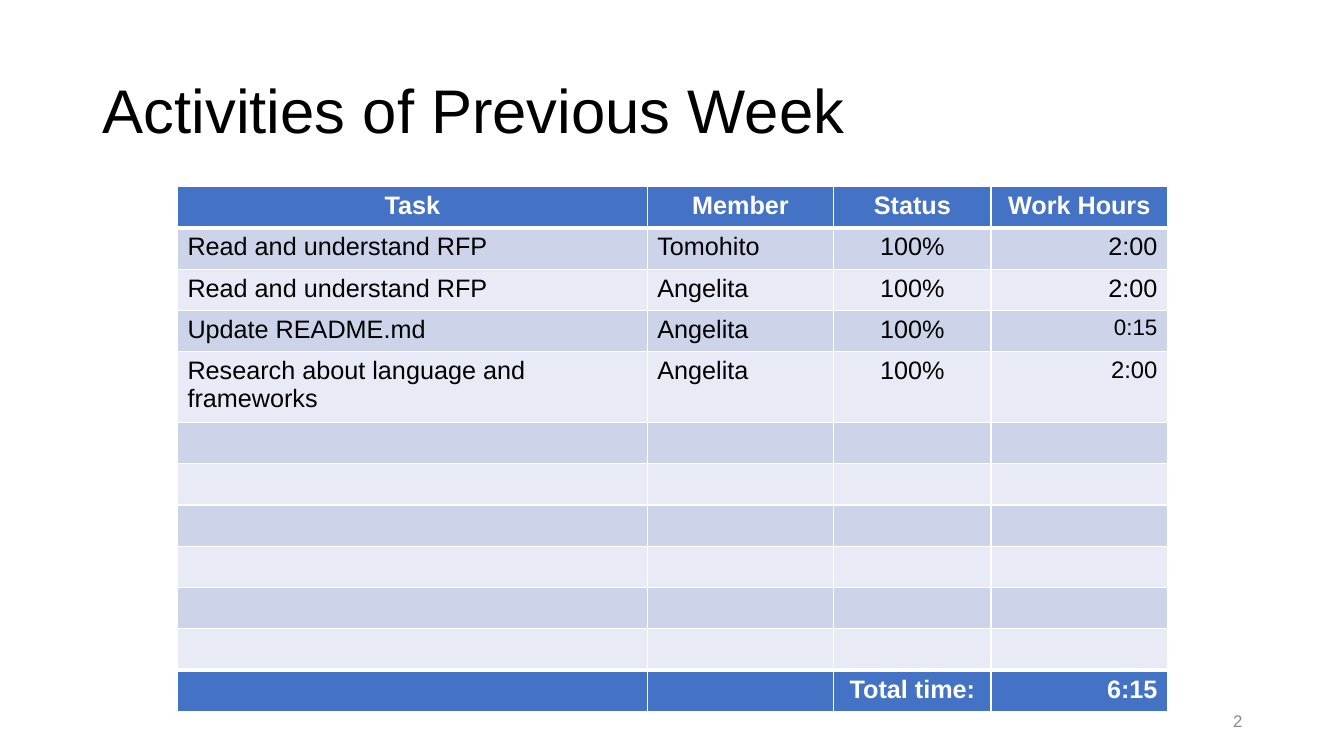
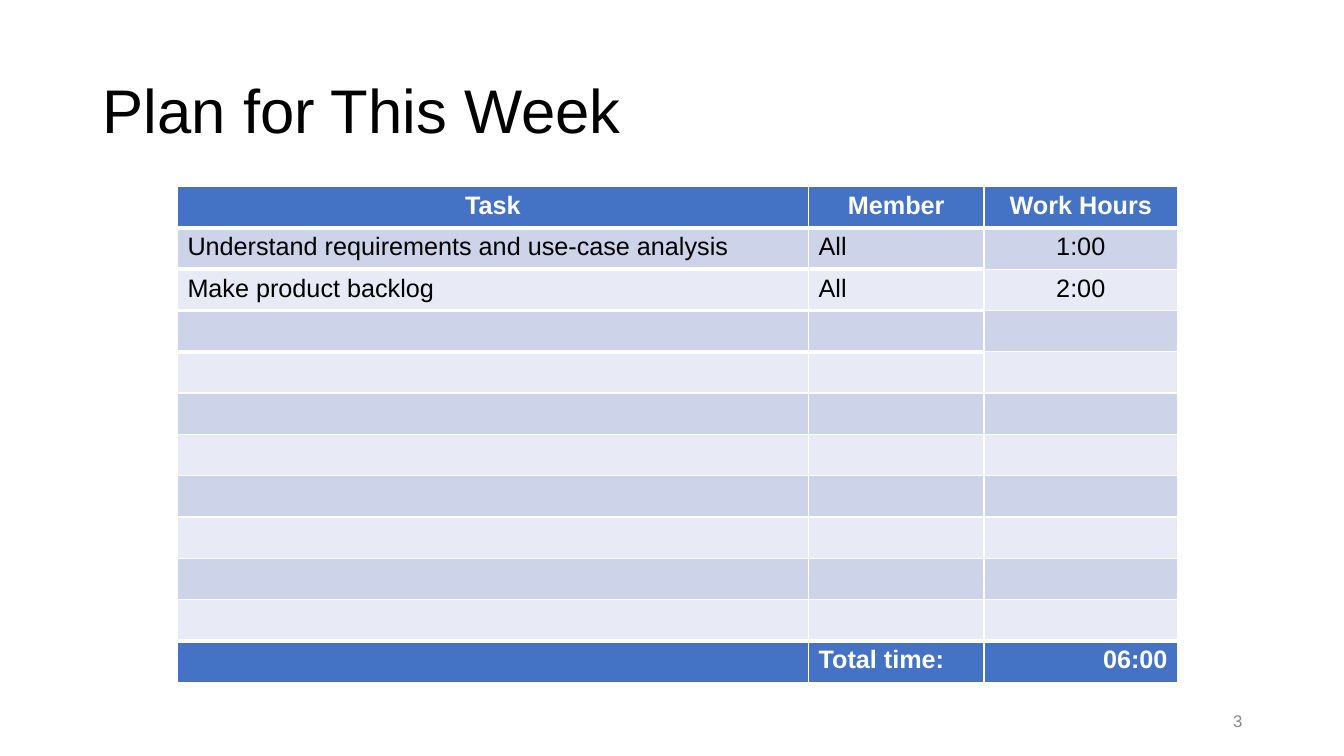
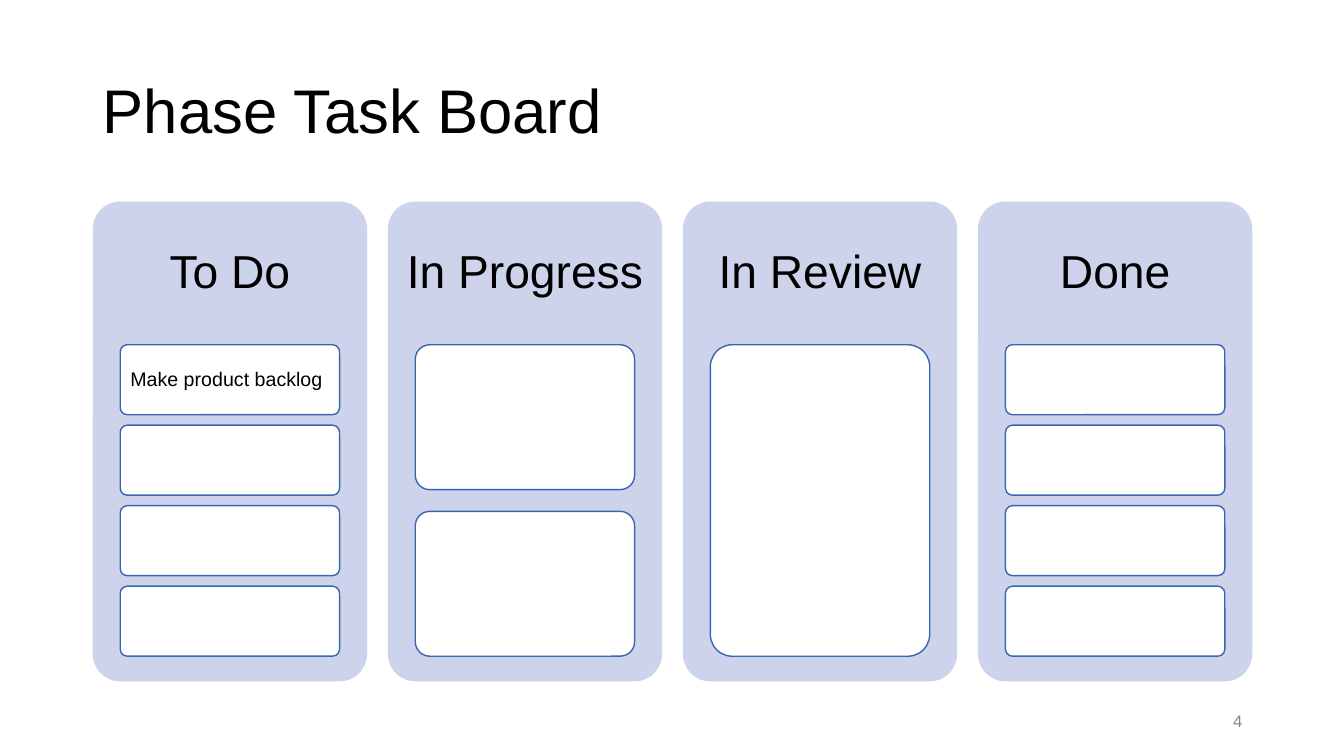
from lxml import etree
from pptx import Presentation
from pptx.dml.color import RGBColor
from pptx.enum.shapes import MSO_SHAPE
from pptx.enum.text import MSO_ANCHOR, PP_ALIGN
from pptx.oxml.ns import qn
from pptx.util import Inches, Pt

BLACK = RGBColor(0x00, 0x00, 0x00)
WHITE = RGBColor(0xFF, 0xFF, 0xFF)
GRAY = RGBColor(0x88, 0x88, 0x88)
BLUE = RGBColor(0x44, 0x72, 0xC4)
CARD_LINE = RGBColor(0x3A, 0x66, 0xB1)
COLUMN_FILL = RGBColor(0xCC, 0xD3, 0xEA)
BANDS = (RGBColor(0xCD, 0xD4, 0xEA), RGBColor(0xE8, 0xEB, 0xF5))
LEFT, CENTER, RIGHT = PP_ALIGN.LEFT, PP_ALIGN.CENTER, PP_ALIGN.RIGHT

MARGIN = 0.92
CONTENT_WIDTH = 11.5
TABLE_ROWS = 12
ROW_HEIGHT = 0.41
THIN, THICK = 1, 3


class Deck:
    """Holds the shared style and the slide being built."""

    font_name = "Arial"
    title_only = 5

    def __init__(self):
        self.presentation = Presentation()
        self.presentation.slide_width = Inches(13.33)
        self.presentation.slide_height = Inches(7.5)
        self.slide = None

    def set_text(self, frame, text, size, color=BLACK, align=LEFT, bold=False, spacing=None):
        frame.word_wrap = True
        paragraph = frame.paragraphs[0]
        paragraph.text = text
        paragraph.alignment = align
        paragraph.line_spacing = spacing
        font = paragraph.font
        font.name, font.size, font.bold = self.font_name, Pt(size), bold
        font.color.rgb = color

    def add_slide(self, title, number):
        layout = self.presentation.slide_layouts[self.title_only]
        self.slide = self.presentation.slides.add_slide(layout)
        shape = self.slide.shapes.title
        shape.left, shape.top = Inches(MARGIN), Inches(0.4)
        shape.width, shape.height = Inches(CONTENT_WIDTH), Inches(1.45)
        shape.text_frame.vertical_anchor = MSO_ANCHOR.MIDDLE
        self.set_text(shape.text_frame, title, 44, spacing=0.9)
        self.add_text(str(number), 9.42, 6.95, 3, 0.4, 12, GRAY, RIGHT)

    def add_text(self, text, left, top, width, height, size, color=BLACK,
                 align=LEFT, spacing=None):
        box = self.slide.shapes.add_textbox(
            Inches(left), Inches(top), Inches(width), Inches(height))
        box.text_frame.vertical_anchor = MSO_ANCHOR.MIDDLE
        self.set_text(box.text_frame, text, size, color, align, spacing=spacing)

    def add_panel(self, left, top, width, height, fill, line=None):
        shape = self.slide.shapes.add_shape(
            MSO_SHAPE.ROUNDED_RECTANGLE,
            Inches(left), Inches(top), Inches(width), Inches(height))
        shape.adjustments[0] = 0.1
        shape.shadow.inherit = False
        shape.fill.solid()
        shape.fill.fore_color.rgb = fill
        if line is None:
            shape.line.fill.background()
        else:
            shape.line.color.rgb = line
            shape.line.width = Pt(1)
        return shape

    def set_borders(self, cell, top, bottom):
        properties = cell._tc.get_or_add_tcPr()
        edges = (("a:lnL", THIN), ("a:lnR", THIN), ("a:lnT", top), ("a:lnB", bottom))
        for index, (tag, weight) in enumerate(edges):
            border = etree.Element(qn(tag), w=str(Pt(weight)))
            fill = etree.SubElement(border, qn("a:solidFill"))
            etree.SubElement(fill, qn("a:srgbClr"), val=str(WHITE))
            properties.insert(index, border)

    def add_table(self, header, tasks, total, widths, aligns, sizes=None, thick_edges=()):
        """Header, task rows padded to full height, and a total row.

        sizes maps (row, column) to a font size; thick_edges lists the
        (row, column) cells with a thick lower edge.
        """
        columns = len(widths)
        blanks = [[""] * columns] * (TABLE_ROWS - len(tasks) - 2)
        rows = [header, *tasks, *blanks, total]
        last = TABLE_ROWS - 1
        frame = self.slide.shapes.add_table(
            TABLE_ROWS, columns, Inches(1.76), Inches(1.85),
            Inches(sum(widths)), Inches(ROW_HEIGHT * TABLE_ROWS))
        table = frame.table
        table.first_row = table.horz_banding = False
        for column, width in zip(table.columns, widths):
            column.width = Inches(width)

        def edge_below(row, column):
            thick = row in (0, last - 1) or (row, column) in thick_edges
            return THICK if thick else THIN

        for row, texts in enumerate(rows):
            table.rows[row].height = Inches(ROW_HEIGHT)
            strong = row in (0, last)
            for column, text in enumerate(texts):
                cell = table.cell(row, column)
                cell.fill.solid()
                cell.fill.fore_color.rgb = BLUE if strong else BANDS[(row - 1) % 2]
                align = CENTER if row == 0 else aligns[column]
                if row == last and column == columns - 1:
                    align = RIGHT
                self.set_text(cell.text_frame, text, (sizes or {}).get((row, column), 18),
                              WHITE if strong else BLACK, align, strong)
                self.set_borders(cell, edge_below(row - 1, column), edge_below(row, column))

    def add_board_column(self, left, width, heading, cards):
        """A panel with a heading and equal cards that fill the rest."""
        top, cards_top, cards_height, gap_ratio = 2, 3.42, 3.09, 0.15
        self.add_panel(left, top, width, 4.76, COLUMN_FILL)
        self.add_text(heading, left, top, width, 1.43, 33, align=CENTER, spacing=0.9)
        count = len(cards)
        height = cards_height / (count + gap_ratio * (count - 1))
        for index, text in enumerate(cards):
            card = self.add_panel(
                left + width * 0.1, cards_top + index * height * (1 + gap_ratio),
                width * 0.8, height, WHITE, CARD_LINE)
            if text:
                frame = card.text_frame
                frame.margin_left, frame.margin_right = Inches(0.08), Inches(0.04)
                frame.vertical_anchor = MSO_ANCHOR.MIDDLE
                self.set_text(frame, text, 14, spacing=0.9)


def main():
    deck = Deck()

    # Finished activities
    deck.add_slide("Activities of Previous Week", 2)
    deck.add_table(
        header=["Task", "Member", "Status", "Work Hours"],
        tasks=[
            ["Read and understand RFP", "Tomohito", "100%", "2:00"],
            ["Read and understand RFP", "Angelita", "100%", "2:00"],
            ["Update README.md", "Angelita", "100%", "0:15"],
            ["Research about language and frameworks", "Angelita", "100%", "2:00"],
        ],
        total=["", "", "Total time:", "6:15"],
        widths=[4.66, 1.85, 1.56, 1.75],
        aligns=[LEFT, LEFT, CENTER, RIGHT],
        sizes={(3, 3): 16, (4, 3): 17})

    # Planned activities
    deck.add_slide("Plan for This Week", 3)
    deck.add_table(
        header=["Task", "Member", "Work Hours"],
        tasks=[
            ["Understand requirements and use-case analysis", "All", "1:00"],
            ["Make product backlog", "All", "2:00"],
        ],
        total=["", "Total time:", "06:00"],
        widths=[6.26, 1.74, 1.92],
        aligns=[LEFT, LEFT, CENTER],
        thick_edges=[(row, column) for row in (1, 2, 3) for column in (0, 1)])

    # Task board
    deck.add_slide("Phase Task Board", 4)
    board = [
        ("To Do", ["Make product backlog", "", "", ""]),
        ("In Progress", ["", ""]),
        ("In Review", [""]),
        ("Done", ["", "", "", ""]),
    ]
    width = 2.72
    pitch = (CONTENT_WIDTH - width) / (len(board) - 1)
    for index, (heading, cards) in enumerate(board):
        deck.add_board_column(MARGIN + index * pitch, width, heading, cards)

    deck.presentation.save("out.pptx")


if __name__ == "__main__":
    main()
